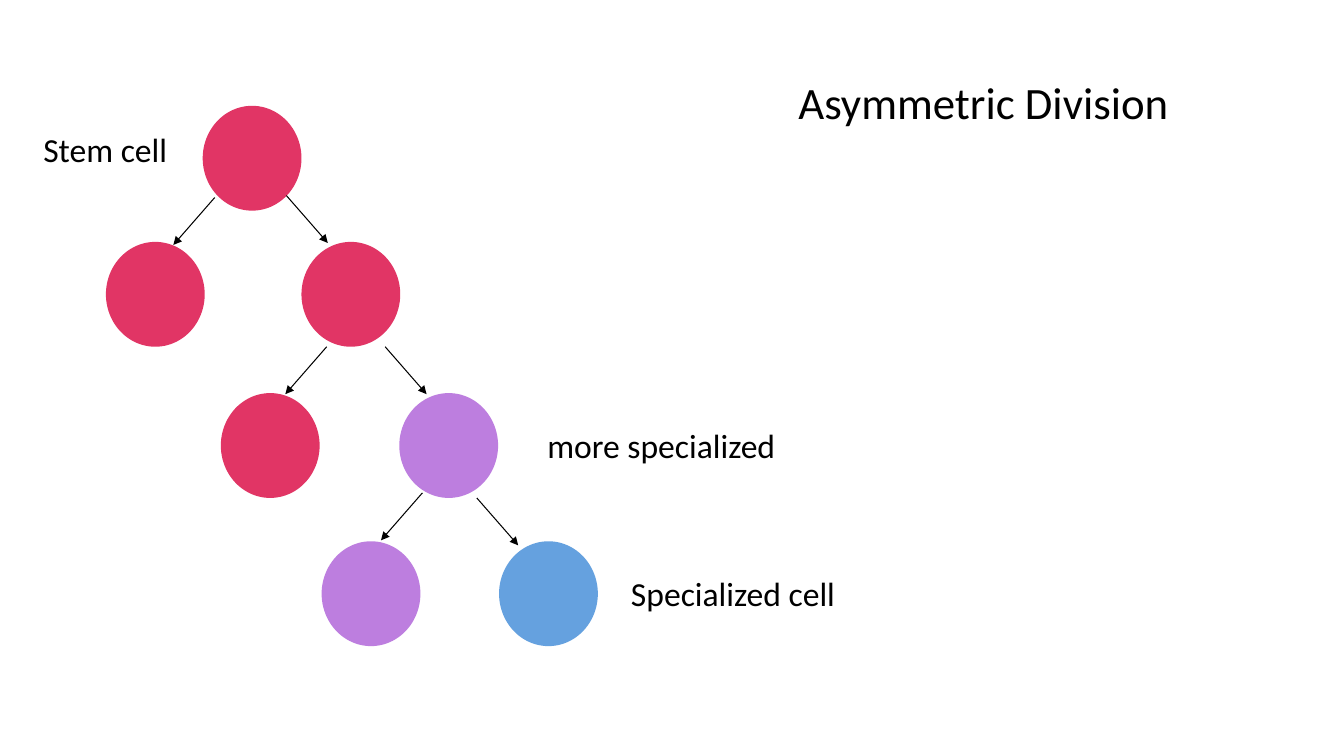
from pptx import Presentation
from pptx import util as u
from pptx.dml.color import RGBColor
from pptx.enum import shapes, text
from pptx.oxml.ns import qn
from lxml import etree

BLACK = RGBColor(0x00, 0x00, 0x00)
STEM = RGBColor(0xE1, 0x35, 0x65)
PROGENITOR = RGBColor(0xBD, 0x7E, 0xDF)
SPECIALIZED = RGBColor(0x65, 0xA1, 0xDF)
FONT = "Calibri"

# The slide is a grid of 100 columns by 100 rows.
SLIDE_W, SLIDE_H = u.Inches(13.33), u.Inches(7.5)
COL, ROW = SLIDE_W / 100, SLIDE_H / 100
CELL_W, CELL_H = 7.35, 13.87
ARROW_COLS, ARROW_ROWS = 3.08, 6.27
LABEL_H = 6.67

TITLE_BOX = (58.65, 9.2, 32.63, 8.53)
TREE_BOX = (7.88, 14, 36.6, 71.47)

# Positions are columns and rows from the corner of the tree.
STEM_CELL = (7.2, 0)
DIVISIONS = [  # row, (column, colour) of both daughters, starts of both arrows
    (18, ((0, STEM), (14.55, STEM)), ((8.1, 12.13), (13.43, 11.87))),
    (38, ((8.55, STEM), (21.83, PROGENITOR)), ((16.43, 31.87), (20.78, 31.87))),
    (57.6, ((16.05, PROGENITOR), (29.25, SPECIALIZED)), ((23.55, 51.2), (27.6, 51.87))),
]
LABELS = [  # wording, column, row, width
    ("Stem cell", -5.4, 2.4, 10.8),
    ("more specialized", 32.1, 41.6, 18.68),
    ("Specialized cell", 38.33, 61.07, 16.88),
]


def to_emu(left, top, width, height):
    return [round(n) for n in (left * COL, top * ROW, width * COL, height * ROW)]


def write(frame, wording, size):
    frame.vertical_anchor = text.MSO_ANCHOR.TOP
    paragraph = frame.paragraphs[0]
    paragraph.alignment = text.PP_ALIGN.LEFT
    paragraph.line_spacing = 1.0
    run = paragraph.add_run()
    run.text = wording
    run.font.name = FONT
    run.font.size = u.Pt(size)
    run.font.color.rgb = BLACK


def add_title(slide, box):
    title = slide.shapes.title
    title.left, title.top, title.width, title.height = to_emu(*box)
    title.text_frame.word_wrap = True
    write(title.text_frame, "Asymmetric Division", 32)


def add_cell(slide, left, top, colour):
    cell = slide.shapes.add_shape(
        shapes.MSO_SHAPE.OVAL, *to_emu(left, top, CELL_W, CELL_H))
    cell.shadow.inherit = False
    cell.fill.solid()
    cell.fill.fore_color.rgb = colour
    cell.line.fill.background()


def add_arrow(slide, left, top, side):
    """Draw an arrow down to the left (side -1) or to the right (side 1)."""
    start_x, start_y, run, drop = to_emu(left, top, side * ARROW_COLS, ARROW_ROWS)
    arrow = slide.shapes.add_connector(
        shapes.MSO_CONNECTOR.STRAIGHT, start_x, start_y, start_x + run, start_y + drop)
    arrow.line.color.rgb = BLACK
    arrow.line.width = u.Pt(0.75)
    etree.SubElement(arrow.line._get_or_add_ln(), qn("a:tailEnd"), type="triangle")
    etree.SubElement(arrow._element.spPr, qn("a:effectLst"))


def add_label(slide, wording, left, top, width):
    label = slide.shapes.add_textbox(*to_emu(left, top, width, LABEL_H))
    label.text_frame.word_wrap = False
    write(label.text_frame, wording, 24)


def add_division_tree(slide, box):
    left, top = box[:2]
    add_cell(slide, left + STEM_CELL[0], top + STEM_CELL[1], STEM)
    for row, daughters, starts in DIVISIONS:
        for (column, colour), (start_col, start_row), side in zip(daughters, starts, (-1, 1)):
            add_cell(slide, left + column, top + row, colour)
            add_arrow(slide, left + start_col, top + start_row, side)
    for wording, column, row, width in LABELS:
        add_label(slide, wording, left + column, top + row, width)


def main():
    deck = Presentation()
    deck.slide_width, deck.slide_height = SLIDE_W, SLIDE_H
    slide = deck.slides.add_slide(deck.slide_layouts.get_by_name("Title Only"))
    add_title(slide, TITLE_BOX)
    add_division_tree(slide, TREE_BOX)
    deck.save("out.pptx")


if __name__ == "__main__":
    main()
